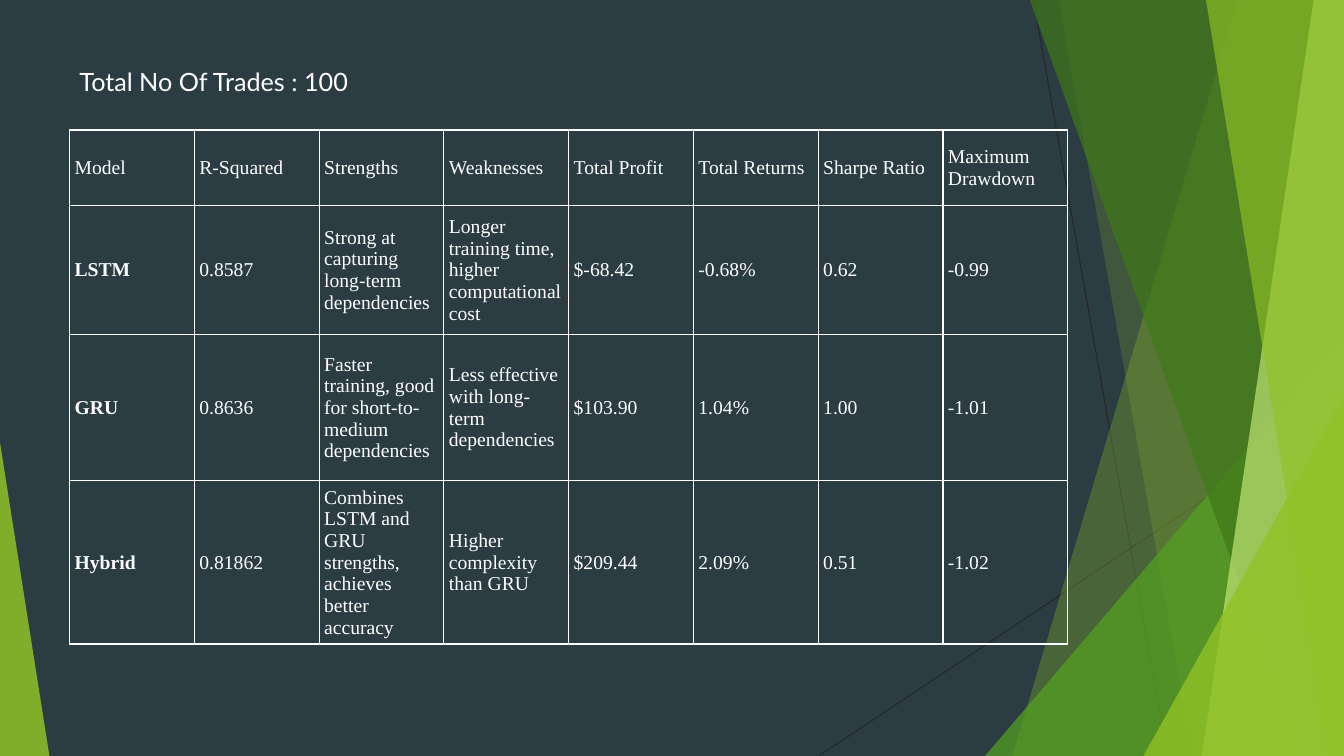
"""Build a slide that compares trading models in a table on a dark green backdrop."""
from lxml.etree import SubElement as Sub
from pptx import Presentation
from pptx.dml.color import RGBColor as Rgb
from pptx.enum.shapes import MSO_CONNECTOR as Link, MSO_SHAPE as Form
from pptx.enum.text import MSO_ANCHOR as Anchor, MSO_AUTO_SIZE as Fit
from pptx.oxml.ns import qn
from pptx.util import Pt

PX = 9144
WIDE, HIGH = 1333, 750
HUES = {
    "night": "2C3C43", "ink": "262626", "white": "FFFFFF", "lime": "90C226",
    "leaf": "54A021", "moss": "3F7819", "pale": "C0E474",
}
ROWS = [
    ["Model", "R-Squared", "Strengths", "Weaknesses", "Total Profit",
     "Total Returns", "Sharpe Ratio", "Maximum Drawdown"],
    ["LSTM", "0.8587", "Strong at capturing long-term dependencies",
     "Longer training time, higher computational cost",
     "$-68.42", "-0.68%", "0.62", "-0.99"],
    ["GRU", "0.8636", "Faster training, good for short-to-medium dependencies",
     "Less effective with long-term dependencies",
     "$103.90", "1.04%", "1.00", "-1.01"],
    ["Hybrid", "0.81862", "Combines LSTM and GRU strengths, achieves better accuracy",
     "Higher complexity than GRU", "$209.44", "2.09%", "0.51", "-1.02"],
]


class Deck:
    def __init__(self):
        self.file = Presentation()
        self.file.slide_width, self.file.slide_height = WIDE * PX, HIGH * PX
        self.slide = self.file.slides.add_slide(self.file.slide_layouts[6])
        self.shapes = self.slide.shapes
        back = self.slide.background.fill
        back.solid()
        back.fore_color.rgb = self.hue("night")

    def hue(self, name):
        return Rgb.from_string(HUES[name])

    def tint(self, shape, name, alpha):
        shape.shadow.inherit = False
        shape.line.fill.background()
        shape.fill.solid()
        shape.fill.fore_color.rgb = self.hue(name)
        color = next(shape._element.spPr.iter(qn("a:srgbClr")))
        Sub(color, qn("a:alpha"), val=str(alpha * 1000))

    def line(self, *ends):
        link = self.shapes.add_connector(Link.STRAIGHT, *[n * PX for n in ends])
        link.line.color.rgb = self.hue("ink")
        link.line.width = Pt(0.75)
        Sub(link._element.spPr, qn("a:effectLst"))

    def band(self, top, foot, name, alpha):
        pen = self.shapes.build_freeform(top, -1, scale=PX)
        pen.add_line_segments([(WIDE, -1), (WIDE, HIGH), (foot, HIGH)], close=True)
        self.tint(pen.convert_to_shape(), name, alpha)

    def wedge(self, left, top, width, peak, name, alpha):
        box = [n * PX for n in (left, top, width, HIGH - top)]
        shape = self.shapes.add_shape(Form.ISOSCELES_TRIANGLE, *box)
        shape.adjustments[0] = peak
        self.tint(shape, name, alpha)

    def style(self, frame, size, font, bold=False):
        for run in frame.paragraphs[0].runs:
            run.font.size, run.font.name, run.font.bold = Pt(size), font, bold
            run.font.color.rgb = self.hue("white")

    def text(self, words, left, top, width, height):
        box = [n * PX for n in (left, top, width, height)]
        frame = self.shapes.add_textbox(*box).text_frame
        frame.word_wrap = True
        frame.auto_size = Fit.SHAPE_TO_FIT_TEXT
        frame.text = words
        self.style(frame, 18, "Lato")

    def cell(self, cell, words, bold):
        cell.text = words
        cell.vertical_anchor = Anchor.MIDDLE
        cell.margin_left = cell.margin_right = 5 * PX
        cell.margin_top = cell.margin_bottom = 2 * PX
        self.style(cell.text_frame, 14, "Times New Roman", bold)
        props = cell._tc.get_or_add_tcPr()
        for side in "LRTB":
            edge = Sub(props, qn(f"a:ln{side}"), w=str(Pt(1)))
            Sub(Sub(edge, qn("a:solidFill")), qn("a:srgbClr"), val=HUES["white"])
        cell.fill.background()

    def table(self, rows, left, top, width, heights):
        count = len(rows[0])
        box = [n * PX for n in (left, top, width, sum(heights))]
        grid = self.shapes.add_table(len(rows), count, *box).table
        grid.first_row = grid.horz_banding = False
        for col in grid.columns:
            col.width = width * PX // count
        for r, (words, height) in enumerate(zip(rows, heights)):
            grid.rows[r].height = height * PX
            for c, word in enumerate(words):
                self.cell(grid.cell(r, c), word, r > 0 and c == 0)


def main():
    deck = Deck()
    deck.line(1025, 0, 1158, HIGH)
    deck.line(WIDE, 403, 812, HIGH)
    deck.band(1228, 1004, "lime", 30)
    deck.band(1050, 1183, "lime", 20)
    deck.wedge(977, 333, 356, 1, "leaf", 72)
    deck.band(1021, 1291, "moss", 70)
    deck.band(1303, 1192, "pale", 70)
    deck.band(1196, 1318, "lime", 65)
    deck.wedge(1134, 393, 199, 1, "lime", 80)
    deck.wedge(0, 439, 49, 0, "lime", 85)
    deck.table(ROWS, 69, 129, 990, [75, 128, 145, 162])
    deck.text("Total No Of Trades : 100", 69, 61, 454, 40)
    deck.file.save("out.pptx")


if __name__ == "__main__":
    main()
